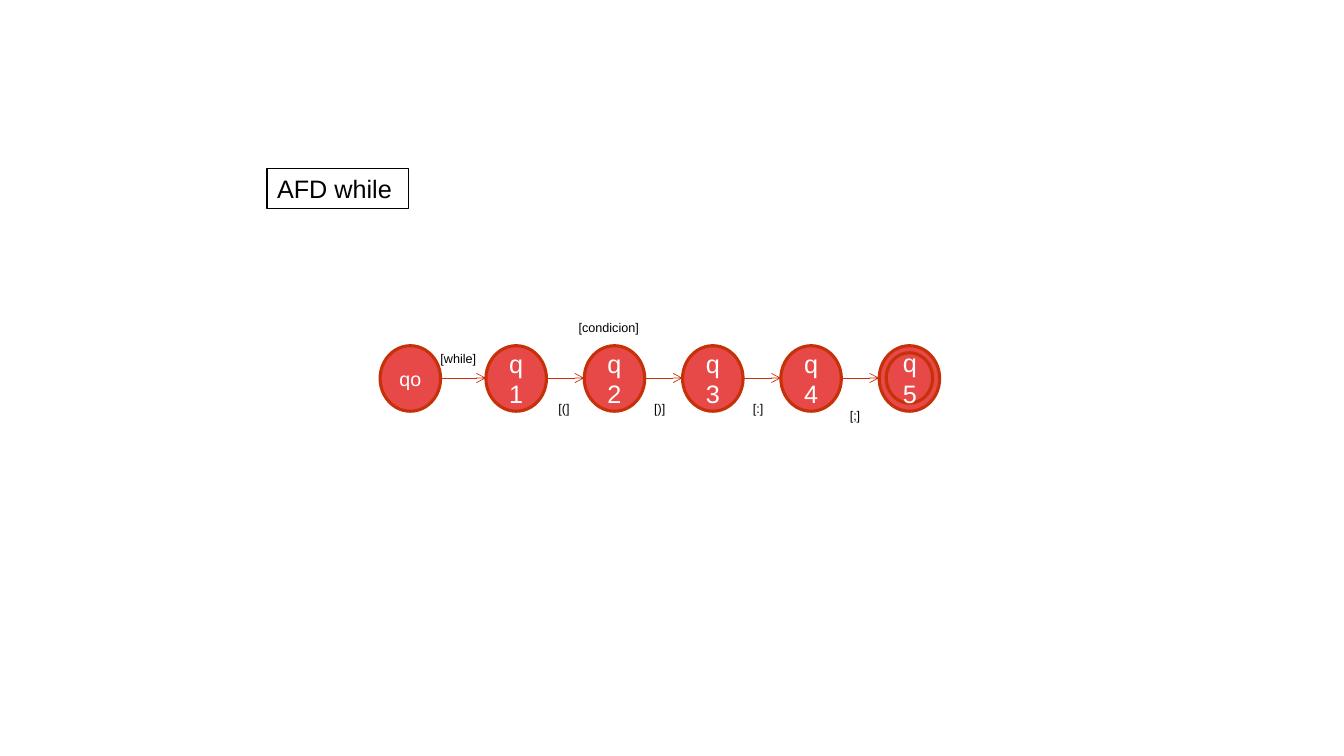
"""Build a slide with the finite automaton that recognises a while statement."""
from lxml.etree import SubElement
from pptx import Presentation
from pptx.dml.color import RGBColor
from pptx.enum.shapes import MSO_CONNECTOR, MSO_SHAPE
from pptx.enum.text import MSO_ANCHOR, MSO_AUTO_SIZE, PP_ALIGN
from pptx.oxml.ns import qn
from pptx.util import Inches, Pt

RED = RGBColor(0xE7, 0x48, 0x48)
DARK_RED = RGBColor(0xC7, 0x31, 0x09)
BLACK = RGBColor(0, 0, 0)
WHITE = RGBColor(0xFF, 0xFF, 0xFF)

STATE_WIDTH, STATE_HEIGHT, STATE_TOP = 0.6, 0.65, 3.43
ARROW_Y = 3.75
FIRST_LEFT, SECOND_LEFT, LAST_LEFT = 3.77, 4.82, 8.72
STATE_LEFTS = [FIRST_LEFT] + [
    SECOND_LEFT + step * (LAST_LEFT - SECOND_LEFT) / 4 for step in range(5)
]
TRANSITIONS = [
    ("[while]", 4.27, 3.43, 0.65),
    ("[condicion]", 5.64, 3.12, 1.01),
    ("[(]", 5.44, 3.93, 0.36),
    ("[)]", 6.39, 3.93, 0.36),
    ("[:]", 7.37, 3.93, 0.36),
    ("[;]", 8.33, 4, 0.36),
]


def write_text(shape, text, size=18, color=BLACK, align=PP_ALIGN.LEFT,
               anchor=MSO_ANCHOR.TOP, grow=False):
    """Put one formatted paragraph into a shape."""
    frame = shape.text_frame
    frame.word_wrap = True
    frame.vertical_anchor = anchor
    if grow:
        frame.auto_size = MSO_AUTO_SIZE.SHAPE_TO_FIT_TEXT
    paragraph = frame.paragraphs[0]
    paragraph.alignment = align
    run = paragraph.add_run()
    run.text = text
    run.font.name = "Arial"
    run.font.size = Pt(size)
    run.font.color.rgb = color


def add_outlined(slide, kind, left, top, width, height, fill, line, weight):
    """Add a filled preset shape with an outline and no shadow."""
    shape = slide.shapes.add_shape(
        kind, Inches(left), Inches(top), Inches(width), Inches(height))
    shape.shadow.inherit = False
    shape.fill.solid()
    shape.fill.fore_color.rgb = fill
    shape.line.color.rgb = line
    shape.line.width = Pt(weight)
    return shape


def add_state(slide, left, top, width, height, name="", size=18):
    """Add a state circle, with its name if it has one."""
    state = add_outlined(slide, MSO_SHAPE.OVAL, left, top, width, height,
                         RED, DARK_RED, 2.25)
    if name:
        write_text(state, name, size=size, color=WHITE,
                   align=PP_ALIGN.CENTER, anchor=MSO_ANCHOR.MIDDLE)


def add_arrow(slide, start, end):
    """Add a horizontal arrow between two states."""
    arrow = slide.shapes.add_connector(
        MSO_CONNECTOR.STRAIGHT, Inches(start), Inches(ARROW_Y),
        Inches(end), Inches(ARROW_Y))
    arrow.line.color.rgb = DARK_RED
    arrow.line.width = Pt(0.5)
    SubElement(arrow.line._get_or_add_ln(), qn("a:tailEnd"), type="arrow")
    SubElement(arrow._element.spPr, qn("a:effectLst"))


def add_label(slide, text, left, top, width):
    """Add a transition label."""
    label = slide.shapes.add_textbox(
        Inches(left), Inches(top), Inches(width), Inches(0.25))
    write_text(label, text, size=9, grow=True)


def main():
    """Draw the automaton and save the presentation."""
    presentation = Presentation()
    presentation.slide_width = Inches(13.33)
    presentation.slide_height = Inches(7.5)
    slide = presentation.slides.add_slide(presentation.slide_layouts[6])

    title = add_outlined(slide, MSO_SHAPE.RECTANGLE, 2.65, 1.67, 1.4, 0.4,
                         WHITE, BLACK, 1)
    write_text(title, "AFD while", grow=True)

    names = ["qo", "q1", "q2", "q3", "q4", ""]
    for name, left in zip(names, STATE_LEFTS):
        add_state(slide, left, STATE_TOP, STATE_WIDTH, STATE_HEIGHT, name,
                  size=14 if name == "qo" else 18)
    add_state(slide, 8.79, 3.5, 0.46, 0.5, "q5")

    for left, next_left in zip(STATE_LEFTS, STATE_LEFTS[1:]):
        add_arrow(slide, left + STATE_WIDTH, next_left)
    for transition in TRANSITIONS:
        add_label(slide, *transition)

    presentation.save("out.pptx")


if __name__ == "__main__":
    main()
